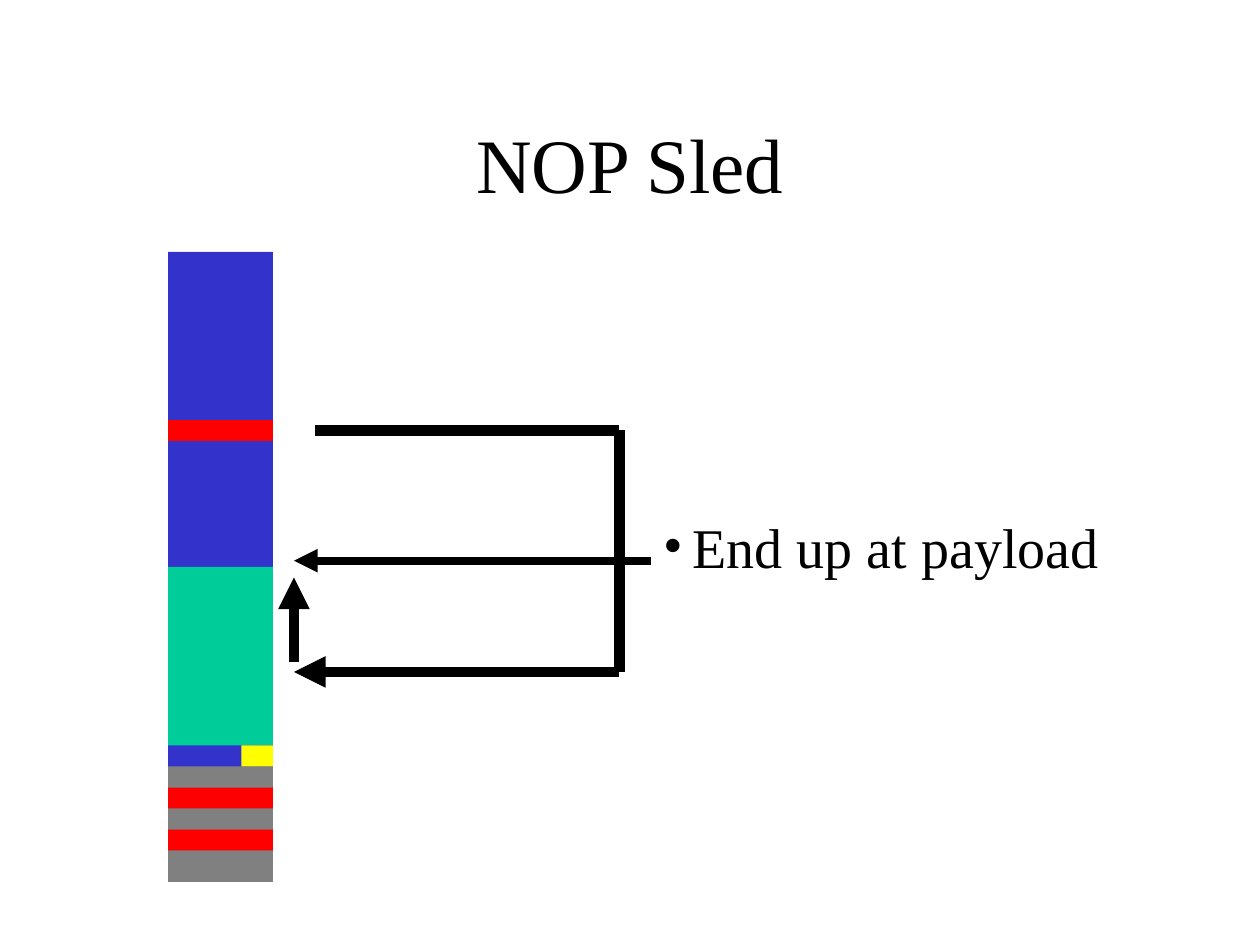
from lxml.etree import SubElement
from pptx import Presentation
from pptx.dml.color import RGBColor
from pptx.enum.shapes import MSO_CONNECTOR, MSO_SHAPE
from pptx.enum.text import MSO_ANCHOR, PP_ALIGN
from pptx.oxml.ns import qn
from pptx.util import Emu, Pt

EMU_PER_PX = 7620  # 120 px to the inch
SLIDE_WIDTH, SLIDE_HEIGHT = 1200, 900

BLACK = RGBColor(0x00, 0x00, 0x00)
GRAY = RGBColor(0x80, 0x80, 0x80)
RED = RGBColor(0xFF, 0x00, 0x00)
BLUE = RGBColor(0x33, 0x33, 0xCC)
YELLOW = RGBColor(0xFF, 0xFF, 0x00)
GREEN = RGBColor(0x00, 0xCC, 0x99)

STACK_LEFT, STACK_WIDTH = 160, 100
WORD_HEIGHT = 20


def px(length):
    return Emu(length * EMU_PER_PX)


class SlideBuilder:
    font_name = "Times New Roman"

    def __init__(self, slide):
        self.slide = slide

    def block(self, left, top, width, height, color):
        shape = self.slide.shapes.add_shape(
            MSO_SHAPE.RECTANGLE, px(left), px(top), px(width), px(height))
        shape.shadow.inherit = False
        shape.fill.solid()
        shape.fill.fore_color.rgb = color
        shape.line.fill.background()

    def line(self, start, end, weight=6, arrow=None):
        """Draw a line; arrow is "headEnd" (at start) or "tailEnd" (at end)."""
        connector = self.slide.shapes.add_connector(
            MSO_CONNECTOR.STRAIGHT, *map(px, start + end))
        connector.line.color.rgb = BLACK
        connector.line.width = Pt(weight)
        properties = connector._element.spPr
        if arrow:
            SubElement(properties.find(qn("a:ln")), qn(f"a:{arrow}"), type="triangle")
        SubElement(properties, qn("a:effectLst"))

    def text(self, left, top, width, height, words, size,
             align=PP_ALIGN.LEFT, anchor=MSO_ANCHOR.TOP, top_inset=6, bullet_indent=0):
        box = self.slide.shapes.add_textbox(px(left), px(top), px(width), px(height))
        frame = box.text_frame
        frame.word_wrap = True
        frame.vertical_anchor = anchor
        frame.margin_top = px(top_inset)
        frame.text = words
        paragraph = frame.paragraphs[0]
        paragraph.alignment = align
        if bullet_indent:
            self.bullet(paragraph, bullet_indent)
        font = paragraph.runs[0].font
        font.name = self.font_name
        font.size = Pt(size)
        font.color.rgb = BLACK

    def bullet(self, paragraph, indent):
        properties = paragraph._p.get_or_add_pPr()
        properties.set("marL", str(px(indent)))
        properties.set("indent", str(-px(indent)))
        color = SubElement(properties, qn("a:buClr"))
        SubElement(color, qn("a:srgbClr"), val=str(BLACK))
        SubElement(properties, qn("a:buFont"), typeface=self.font_name)
        SubElement(properties, qn("a:buChar"), char="•")


def main():
    presentation = Presentation()
    presentation.slide_width = px(SLIDE_WIDTH)
    presentation.slide_height = px(SLIDE_HEIGHT)
    builder = SlideBuilder(presentation.slides.add_slide(presentation.slide_layouts[6]))

    builder.text(90, 80, 1020, 150, "NOP Sled", 44, PP_ALIGN.CENTER, MSO_ANCHOR.MIDDLE)

    stack = [
        (400, 440, GRAY),
        (790, WORD_HEIGHT, RED),
        (750, WORD_HEIGHT, RED),
        (240, 490, BLUE),
        (400, WORD_HEIGHT, RED),
        (540, 170, GREEN),
    ]
    for top, height, color in stack:
        builder.block(STACK_LEFT, top, STACK_WIDTH, height, color)
    builder.block(230, 710, 30, WORD_HEIGHT, YELLOW)

    jump_start, jump_top, jump_bottom, jump_end = (
        (300, 410), (590, 410), (590, 640), (280, 640))
    builder.line(jump_start, jump_top)
    builder.line(jump_top, jump_bottom)
    builder.line(jump_bottom, jump_end, arrow="tailEnd")
    builder.line((280, 550), (280, 630), arrow="headEnd")

    builder.line((620, 534), (280, 534), weight=4.5, arrow="tailEnd")
    builder.text(620, 474, 460, 77, "End up at payload", 32, top_inset=14, bullet_indent=28)

    presentation.save("out.pptx")


if __name__ == "__main__":
    main()
